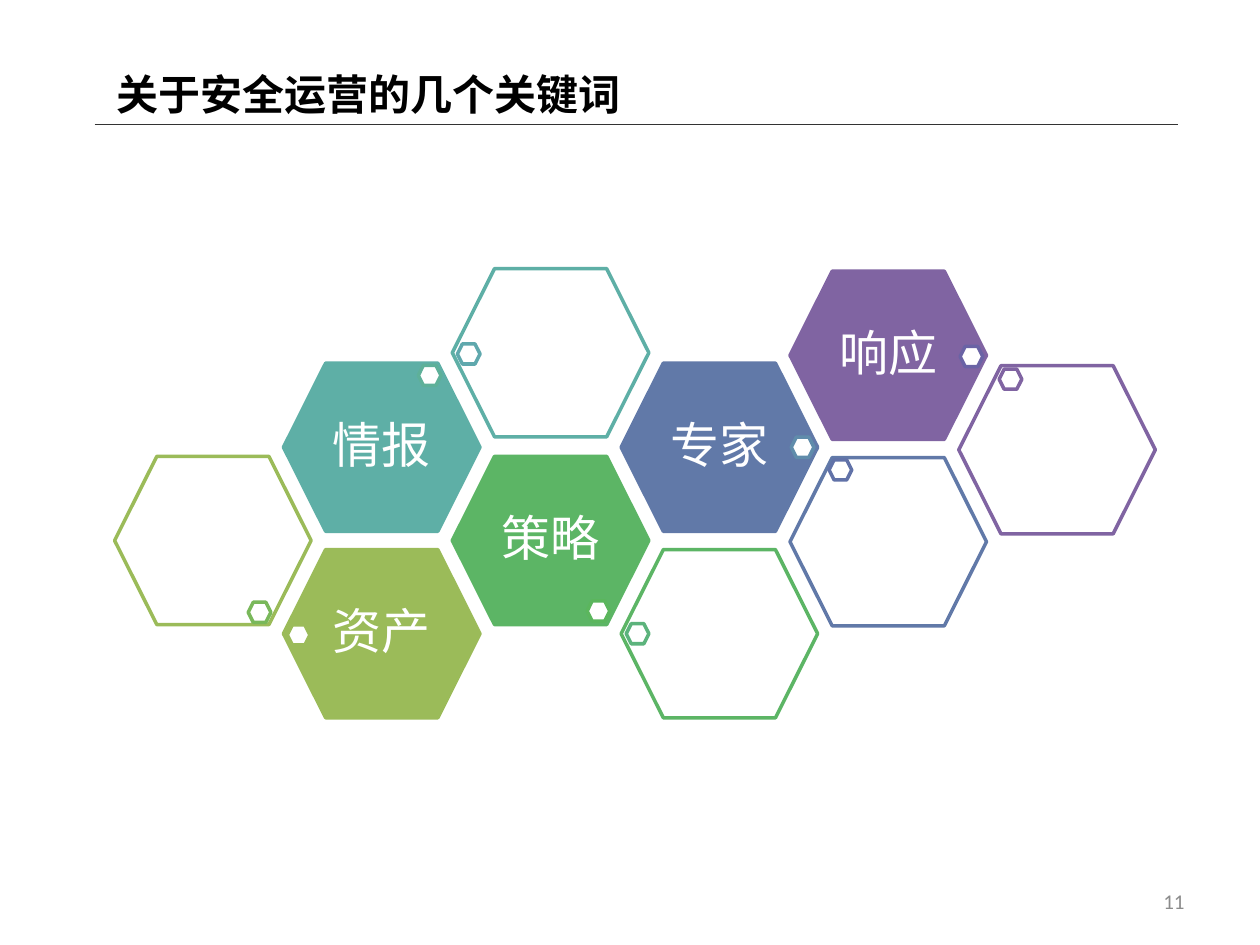
"""Build a slide of paired hexagons naming the keywords of security operations."""
from lxml import etree
from pptx import Presentation
from pptx.dml.color import RGBColor
from pptx.enum.shapes import MSO_CONNECTOR, MSO_SHAPE
from pptx.enum.text import MSO_ANCHOR, PP_ALIGN
from pptx.oxml.ns import qn
from pptx.util import Inches, Pt

HEX = MSO_SHAPE.HEXAGON
LINE = MSO_CONNECTOR.STRAIGHT
MIDDLE = MSO_ANCHOR.MIDDLE
LEFT, CENTER, RIGHT = PP_ALIGN.LEFT, PP_ALIGN.CENTER, PP_ALIGN.RIGHT
WHITE = "FFFFFF"
START, STEP = 0.91, 1.34
BIG, DOT = (1.56, 1.34), (0.18, 0.16)

# word, colour, then column, top, dot place and dot colour of the full and the empty cell
PAIRS = [
    ("资产", "9BBB59", (1, 4.36, 2.28, 4.96, "9BBB59"), (0, 3.62, 1.97, 4.78, "79B85A")),
    ("策略", "5CB565", (2, 3.62, 4.66, 4.77, "5BB65D"), (3, 4.36, 4.97, 4.95, "5CB37C")),
    ("情报", "5EAFA6", (1, 2.88, 3.32, 2.90, "5EB099"), (2, 2.13, 3.63, 2.73, "5FA8AD")),
    ("专家", "6179A8", (3, 2.88, 6.28, 3.47, "608CAB"), (4, 3.63, 6.58, 3.65, "6172A8")),
    ("响应", "8064A2", (4, 2.15, 7.62, 2.75, "6A63A5"), (5, 2.90, 7.93, 2.93, "8064A2")),
]


def paint(target, color):
    target.solid()
    target.fore_color.rgb = RGBColor.from_string(color)


class Deck:
    def __init__(self, slide, font):
        self.shapes = slide.shapes
        self.font = font

    def text(self, words, x, y, w, h, size, color, align=LEFT, bold=False,
             font=None, inset=(0.1, 0.05), space=1.0):
        frame = self.shapes.add_textbox(*map(Inches, (x, y, w, h))).text_frame
        frame.word_wrap = True
        frame.vertical_anchor = MIDDLE
        frame.margin_left = frame.margin_right = Inches(inset[0])
        frame.margin_top = frame.margin_bottom = Inches(inset[1])
        para = frame.paragraphs[0]
        para.alignment = align
        para.line_spacing = space
        run = para.add_run()
        run.text = words
        run.font.size = Pt(size)
        run.font.bold = bold
        run.font.name = font or self.font
        paint(run.font.fill, color)
        east = etree.SubElement(run.font._element, qn("a:ea"))
        east.set("typeface", font or self.font)

    def rule(self, x, y, end, color, width):
        line = self.shapes.add_connector(
            LINE, Inches(x), Inches(y), Inches(end), Inches(y))
        paint(line.line.fill, color)
        line.line.width = Pt(width)
        etree.SubElement(line._element.spPr, qn("a:effectLst"))

    def hexagon(self, x, y, size, fill, edge, alpha=100):
        shape = self.shapes.add_shape(HEX, *map(Inches, (x, y, *size)))
        shape.shadow.inherit = False
        shape.adjustments[0] = 0.25
        shape.adjustments[1] = 1.15
        paint(shape.fill, fill)
        paint(shape.line.fill, edge)
        shape.line.width = Pt(2)
        if alpha < 100:
            tint = shape._element.spPr.find(qn("a:solidFill"))[0]
            etree.SubElement(tint, qn("a:alpha")).set("val", str(alpha * 1000))

    def pair(self, word, color, full, empty):
        col, top, *dot = full
        x = START + STEP * col
        self.hexagon(x, top, BIG, color, color)
        self.text(word, x + 0.24, top + 0.21, 1.08, 0.92, 28, WHITE,
                  CENTER, inset=(0, 0.04), space=0.9)
        self.dot(*dot)
        col, top, *dot = empty
        self.hexagon(START + STEP * col, top, BIG, WHITE, color, 90)
        self.dot(*dot)

    def dot(self, x, y, edge):
        self.hexagon(x, y, DOT, WHITE, edge)


def main():
    show = Presentation()
    show.slide_width, show.slide_height = Inches(10), Inches(7.5)
    deck = Deck(show.slides.add_slide(show.slide_layouts[6]), "Noto Sans CJK SC")
    deck.text("11", 7.17, 6.95, 2.33, 0.4, 12, "8C8C8C", RIGHT, font="Calibri")
    deck.rule(0.75, 0.99, 9.35, "333333", 0.75)
    deck.text("关于安全运营的几个关键词", 0.83, 0.49, 5.91, 0.5, 24, "000000", bold=True)
    for pair in PAIRS:
        deck.pair(*pair)
    show.save("out.pptx")


if __name__ == "__main__":
    main()
